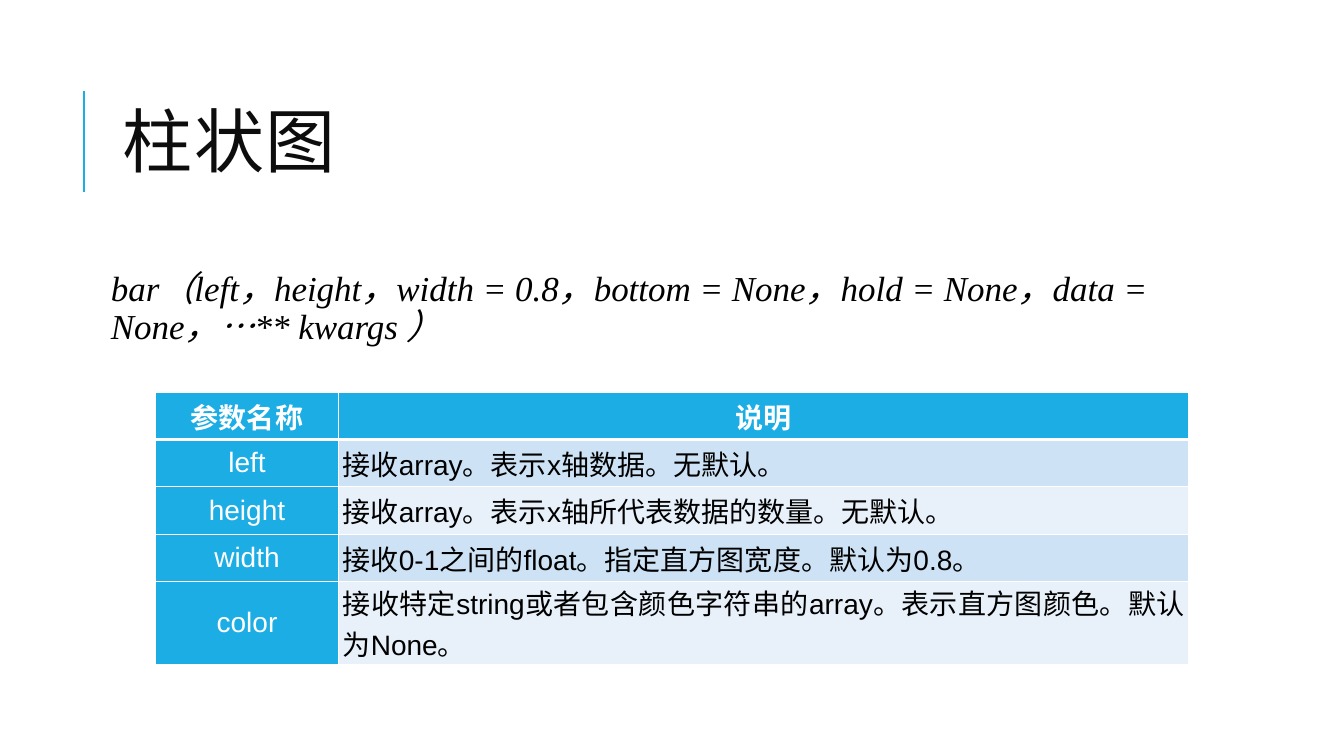
from dataclasses import dataclass

from lxml.etree import SubElement
from pptx import Presentation
from pptx.dml.color import RGBColor
from pptx.enum.shapes import MSO_CONNECTOR
from pptx.enum.text import MSO_ANCHOR, PP_ALIGN
from pptx.oxml.ns import qn
from pptx.util import Inches, Pt

TITLE = "柱状图"
SIGNATURE = "bar（left，height，width = 0.8，bottom = None，hold = None，data = None，…** kwargs ）"
PARAMETERS = [
    ("参数名称", "说明"),
    ("left", "接收array。表示x轴数据。无默认。"),
    ("height", "接收array。表示x轴所代表数据的数量。无默认。"),
    ("width", "接收0-1之间的float。指定直方图宽度。默认为0.8。"),
    ("color", "接收特定string或者包含颜色字符串的array。表示直方图颜色。默认为None。"),
]


@dataclass(frozen=True)
class Theme:
    accent: str = "1CADE4"
    title: str = "0D0D0D"
    text: str = "000000"
    white: str = "FFFFFF"
    bands: tuple = ("CDE3F5", "E8F1FA")
    title_size: int = 50
    signature_size: int = 25
    table_size: int = 20
    thin: int = 1
    thick: int = 3


THEME = Theme()
SLIDE_SIZE = (13.33, 7.5)
TITLE_BOX = (1.12, 0.64, 10.63, 1.64)
SIGNATURE_BOX = (1.05, 2.64, 11.32, 0.89)
RULE_X, RULE_TOP, RULE_BOTTOM = 0.83, 0.9, 1.9
TABLE_LEFT, TABLE_TOP = 1.54, 3.89
COLUMN_WIDTHS = (1.82, 8.43)
ROW_HEIGHT, WRAPPED_ROW_HEIGHT = 0.47, 0.82
ROW_HEIGHTS = [ROW_HEIGHT] * (len(PARAMETERS) - 1) + [WRAPPED_ROW_HEIGHT]


def assign(target, formats):
    for name, value in formats.items():
        setattr(target, name, value)


def write(frame, text, color, font_formats, paragraph_formats):
    paragraph = frame.paragraphs[0]
    assign(paragraph, paragraph_formats)
    run = paragraph.add_run()
    run.text = text
    assign(run.font, font_formats)
    run.font.color.rgb = RGBColor.from_string(color)
    return run


def add_text_box(slide, box, frame_formats):
    frame = slide.shapes.add_textbox(*map(Inches, box)).text_frame
    assign(frame, {"word_wrap": True, **frame_formats})
    return frame


def add_title(slide):
    rule = slide.shapes.add_connector(
        MSO_CONNECTOR.STRAIGHT,
        *map(Inches, (RULE_X, RULE_BOTTOM, RULE_X, RULE_TOP)),
    )
    rule.line.color.rgb = RGBColor.from_string(THEME.accent)
    rule.line.width = Pt(1.5)
    SubElement(rule._element.spPr, qn("a:effectLst"))
    frame = add_text_box(slide, TITLE_BOX, {"vertical_anchor": MSO_ANCHOR.MIDDLE})
    run = write(frame, TITLE, THEME.title,
                {"name": "Calibri", "size": Pt(THEME.title_size)},
                {"line_spacing": 0.8})
    run._r.get_or_add_rPr().set("spc", "100")


def add_signature(slide):
    margins = {f"margin_{side}": Inches(0.05) for side in ("left", "top", "right", "bottom")}
    frame = add_text_box(slide, SIGNATURE_BOX, margins)
    write(frame, SIGNATURE, THEME.text,
          {"name": "Times New Roman", "size": Pt(THEME.signature_size), "italic": True},
          {"line_spacing": 0.9, "space_after": Pt(2)})


def add_borders(cell, row):
    properties = cell._tc.get_or_add_tcPr()
    widths = {
        "lnL": THEME.thin,
        "lnR": THEME.thin,
        "lnT": THEME.thick if row == 1 else THEME.thin,
        "lnB": THEME.thick if row == 0 else THEME.thin,
    }
    for tag, width in widths.items():
        border = SubElement(properties, qn(f"a:{tag}"), w=str(Pt(width)))
        fill = SubElement(border, qn("a:solidFill"))
        SubElement(fill, qn("a:srgbClr"), val=THEME.white)


def add_parameter_table(slide):
    table = slide.shapes.add_table(
        len(ROW_HEIGHTS), len(COLUMN_WIDTHS),
        *map(Inches, (TABLE_LEFT, TABLE_TOP, sum(COLUMN_WIDTHS), sum(ROW_HEIGHTS))),
    ).table
    for column, width in zip(table.columns, COLUMN_WIDTHS):
        column.width = Inches(width)
    for row, (texts, height) in enumerate(zip(PARAMETERS, ROW_HEIGHTS)):
        table.rows[row].height = Inches(height)
        for column, text in enumerate(texts):
            heading = row == 0 or column == 0
            cell = table.cell(row, column)
            assign(cell, {
                "vertical_anchor": MSO_ANCHOR.MIDDLE,
                "margin_left": Inches(0.04), "margin_right": Inches(0.04),
                "margin_top": 0, "margin_bottom": 0,
            })
            add_borders(cell, row)
            cell.fill.solid()
            cell.fill.fore_color.rgb = RGBColor.from_string(
                THEME.accent if heading else THEME.bands[(row - 1) % 2])
            write(cell.text_frame, text, THEME.white if heading else THEME.text,
                  {"name": "Arial", "size": Pt(THEME.table_size), "bold": row == 0},
                  {"alignment": PP_ALIGN.CENTER if heading else PP_ALIGN.JUSTIFY})


def main():
    presentation = Presentation()
    presentation.slide_width, presentation.slide_height = map(Inches, SLIDE_SIZE)
    slide = presentation.slides.add_slide(presentation.slide_layouts[6])
    add_title(slide)
    add_signature(slide)
    add_parameter_table(slide)
    presentation.save("out.pptx")


if __name__ == "__main__":
    main()
